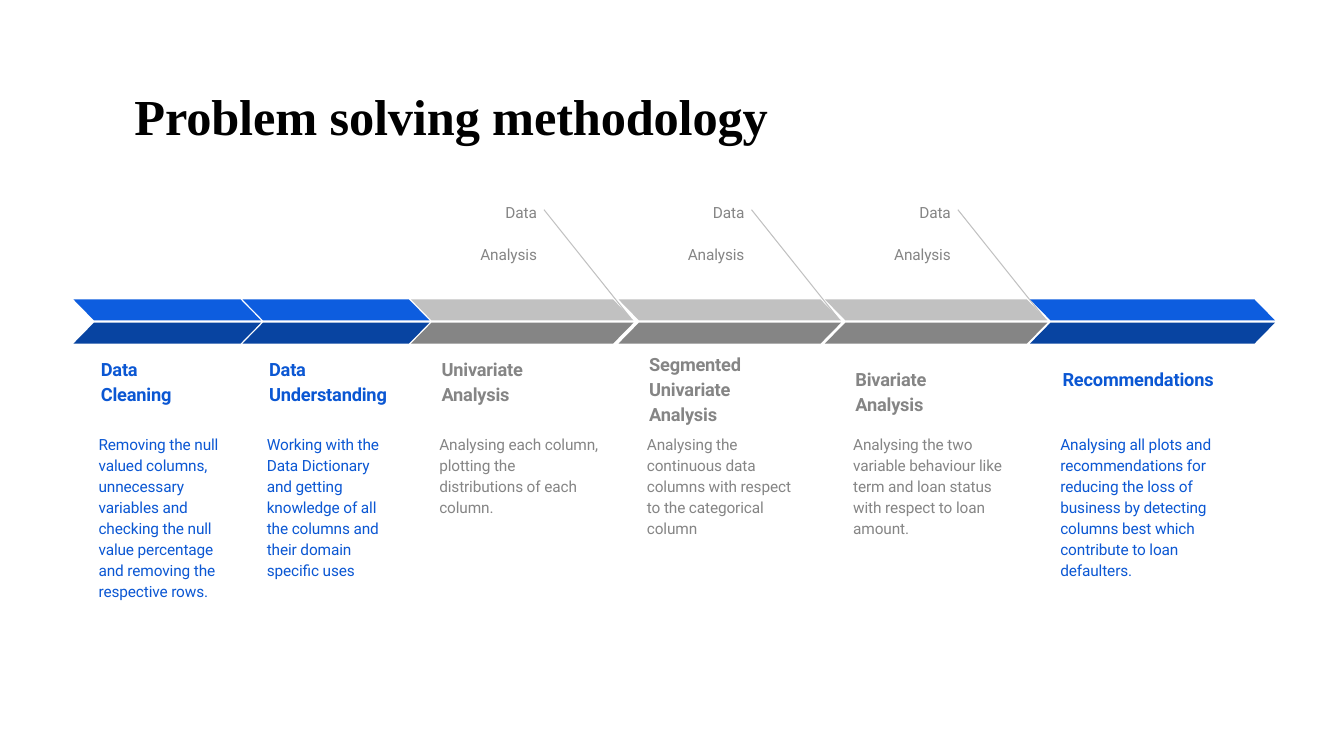
from copy import deepcopy

from pptx import Presentation
from pptx.dml.color import RGBColor
from pptx.enum.shapes import MSO_CONNECTOR as Connector
from pptx.enum.text import MSO_ANCHOR as Anchor, MSO_AUTO_SIZE as AutoSize, PP_ALIGN as Align
from pptx.oxml.ns import qn
from pptx.oxml.xmlchemy import OxmlElement
from pptx.util import Pt

BLUE = ("0D5DDF", "0844A1", "0B57D3")
GRAY = ("C1C1C1", "858585", "858585")
BAND_TOP, BAND_HEIGHT, BAND_PITCH, NOTCH = 213.9, 15, 16.5, 14.7
BODY_TOP = 308.2

STEPS = [
    (52.5, 134, 72, 252.7, BLUE, False, "Data\nCleaning",
     "Removing the null\nvalued columns,\nunnecessary\nvariables and\nchecking the null\n"
     "value percentage\nand removing the\nrespective rows."),
    (173.3, 133.5, 192.2, 252.7, BLUE, False, "Data\nUnderstanding",
     "Working with the\nData Dictionary\nand getting\nknowledge of all\nthe columns and\n"
     "their domain\nspeciﬁc uses"),
    (293.6, 159, 315.4, 252.7, GRAY, True, "Univariate\nAnalysis",
     "Analysing each column,\nplotting the\ndistributions of each\ncolumn."),
    (441.8, 159, 463.7, 249.1, GRAY, True, "Segmented\nUnivariate\nAnalysis",
     "Analysing the\ncontinuous data\ncolumns with respect\nto the categorical\ncolumn"),
    (589.2, 159, 611, 259.9, GRAY, True, "Bivariate\nAnalysis",
     "Analysing the two\nvariable behaviour like\nterm and loan status\n"
     "with respect to loan\namount."),
    (735.8, 175, 759, 259.9, BLUE, False, "Recommendations",
     "Analysing all plots and\nrecommendations for\nreducing the loss of\n"
     "business by detecting\ncolumns best which\ncontribute to loan\ndefaulters."),
]


def color(value):
    return RGBColor.from_string(value)


def write(shape, *paragraphs, size, fill, font="Roboto", bold=False, spacing=None,
          align=Align.LEFT, gap=1):
    frame = shape.text_frame
    frame.word_wrap = True
    frame.auto_size = AutoSize.NONE
    frame.vertical_anchor = Anchor.TOP
    frame.margin_left = frame.margin_right = frame.margin_bottom = 0
    frame.margin_top = Pt(0.7)
    for index, text in enumerate(paragraphs):
        paragraph = frame.add_paragraph() if index else frame.paragraphs[0]
        paragraph.text = text.replace("\n", "\v")
        paragraph.alignment = align
        paragraph.space_before = Pt(gap if index else 1)
        if spacing:
            paragraph.line_spacing = spacing
        for run in paragraph.runs:
            run.font.name, run.font.size, run.font.bold = font, Pt(size), bold
            run.font.color.rgb = color(fill)
            properties = run.font._element
            properties.set("spc", "-10")
        for line_break in paragraph._p.findall(qn("a:br")):
            line_break.append(deepcopy(properties))


def add_text(slide, left, top, width, height, *paragraphs, **style):
    box = slide.shapes.add_textbox(Pt(left), Pt(top), Pt(width), Pt(height))
    write(box, *paragraphs, **style)


def add_band(slide, points, fill):
    builder = slide.shapes.build_freeform(Pt(points[0][0]), Pt(points[0][1]))
    builder.add_line_segments([(Pt(x), Pt(y)) for x, y in points[1:]], close=True)
    shape = builder.convert_to_shape()
    shape.shadow.inherit = False
    shape.fill.solid()
    shape.fill.fore_color.rgb = color(fill)
    shape.line.fill.background()


def add_chevron(slide, left, width, light, dark):
    right, upper, lower = left + width, BAND_TOP, BAND_TOP + BAND_PITCH
    add_band(slide, [(left, upper), (right - NOTCH, upper),
                     (right, upper + BAND_HEIGHT), (left + NOTCH, upper + BAND_HEIGHT)], light)
    add_band(slide, [(left + NOTCH, lower), (right, lower),
                     (right - NOTCH, lower + BAND_HEIGHT), (left, lower + BAND_HEIGHT)], dark)


def add_callout(slide, left, line_color, text_color):
    line = slide.shapes.add_connector(Connector.STRAIGHT, Pt(left + 95), Pt(149.8),
                                      Pt(left + 157), Pt(227.5))
    line.line.color.rgb = color(line_color)
    line.line.width = Pt(0.75)
    line._element.spPr.append(OxmlElement("a:effectLst"))
    add_text(slide, left + 40, 142.6, 50, 46, "Data", "Analysis", size=11,
             fill=text_color, spacing=1.14, align=Align.RIGHT, gap=14.7)


def add_step(slide, left, width, text_left, heading_top, palette, has_callout, heading, body):
    light, dark, text_color = palette
    if has_callout:
        add_callout(slide, left, light, text_color)
    add_chevron(slide, left, width, light, dark)
    text_width = width - 41
    add_text(slide, text_left, heading_top, text_width, 18 * len(heading.split("\n")) + 2,
             heading, size=13, fill=text_color, bold=True, spacing=1.15)
    add_text(slide, text_left - 1.6, BODY_TOP, text_width, 15 * len(body.split("\n")) + 2,
             body, size=11, fill=text_color, spacing=1.14)


def main():
    presentation = Presentation()
    presentation.slide_width, presentation.slide_height = Pt(960), Pt(540)
    slide = presentation.slides.add_slide(presentation.slide_layouts[5])
    title = slide.shapes.title
    title.left, title.top, title.width, title.height = Pt(96), Pt(60), Pt(470), Pt(45)
    write(title, "Problem solving methodology", size=36, fill="000000",
          font="Times New Roman", bold=True)
    for step in STEPS:
        add_step(slide, *step)
    presentation.save("out.pptx")


if __name__ == "__main__":
    main()
